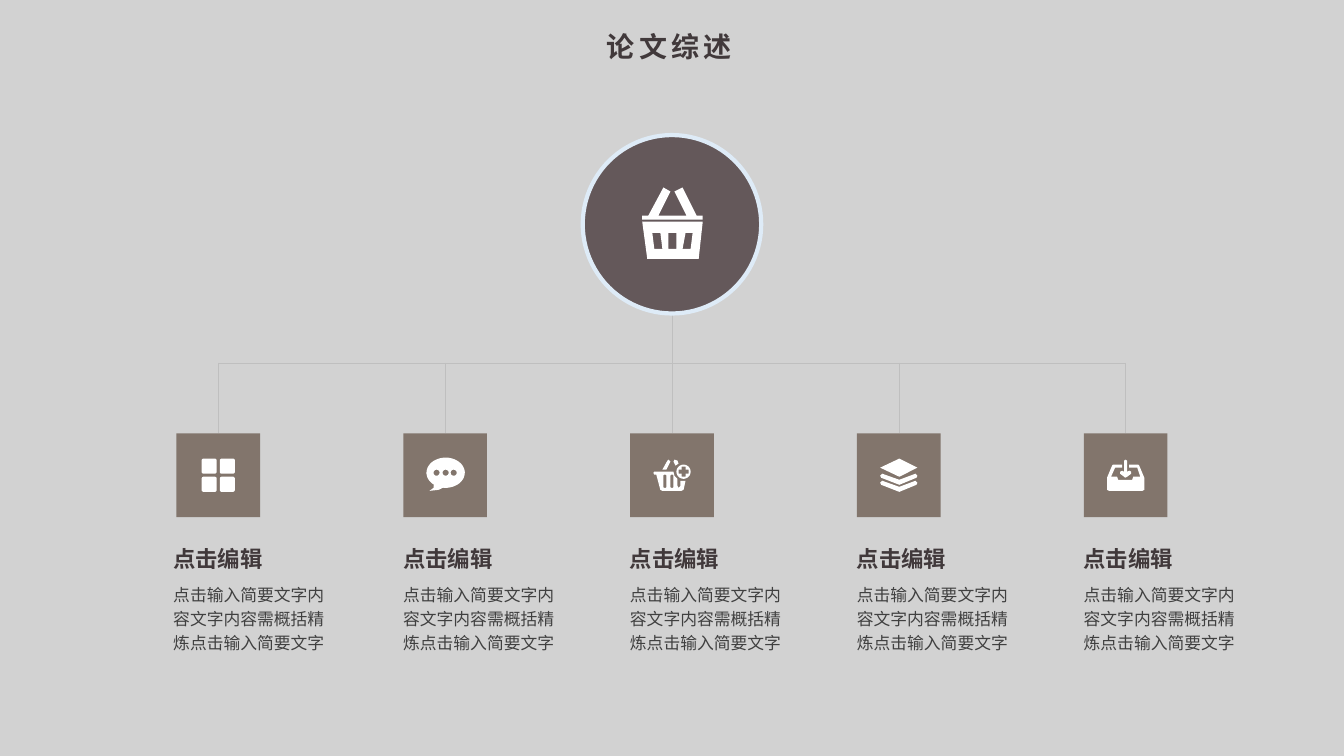
from dataclasses import dataclass
from math import cos, radians, sin

from lxml.etree import SubElement
from pptx import Presentation
from pptx.dml.color import RGBColor
from pptx.enum.shapes import MSO_CONNECTOR, MSO_SHAPE
from pptx.enum.text import MSO_ANCHOR, MSO_AUTO_SIZE, PP_ALIGN
from pptx.oxml.ns import qn
from pptx.shapes.autoshape import Shape
from pptx.shapes.connector import Connector
from pptx.slide import Slide
from pptx.util import Inches, Pt

BACKGROUND = RGBColor(0xD2, 0xD2, 0xD2)
LINE_GRAY = RGBColor(0xBF, 0xBF, 0xBF)
HEADING = RGBColor(0x41, 0x39, 0x3B)
BODY = RGBColor(0x40, 0x40, 0x40)
HUB_FILL = RGBColor(0x64, 0x58, 0x5A)
HUB_RING = RGBColor(0xDE, 0xEB, 0xF7)
TILE_FILL = RGBColor(0x82, 0x75, 0x6C)
WHITE = RGBColor(0xFF, 0xFF, 0xFF)

FONT = "Noto Sans CJK SC"
UNITS = 1000
BUS_Y = 3.6
TILE_LEFT, TILE_TOP, TILE_SIZE, TILE_STEP = 1.75, 4.3, 0.83, 2.25
HUB_X = TILE_LEFT + 2 * TILE_STEP + TILE_SIZE / 2

Point = tuple[float, float]
Outline = list[Point]


@dataclass(frozen=True)
class Branch:
    icon: list[Outline]
    text_shift: float = 0.1
    heading: str = "点击编辑"
    body: str = "点击输入简要文字内容文字内容需概括精炼点击输入简要文字"


def arc(x: float, y: float, rx: float, ry: float, start: int = 0, stop: int = 360) -> Outline:
    """Points on an ellipse about (x, y), in degrees clockwise from the right."""
    return [(x + rx * cos(radians(a)), y + ry * sin(radians(a))) for a in range(start, stop + 1, 6)]


def rounded(x: float, y: float, width: float, height: float, r: float) -> Outline:
    right, bottom = x + width - r, y + height - r
    return (arc(right, bottom, r, r, 0, 90) + arc(x + r, bottom, r, r, 90, 180)
            + arc(x + r, y + r, r, r, 180, 270) + arc(right, y + r, r, r, 270, 360))


def chevron(y: float) -> Outline:
    return [(0.25, y), (0.42, y + 0.06), (0.58, y), (0.6, y + 0.02), (0.59, y + 0.04),
            (0.42, y + 0.11), (0.24, y + 0.04), (0.23, y + 0.02)]


GRID_ICON = [rounded(x, y, 0.15, 0.15, 0.02) for x in (0.25, 0.43) for y in (0.25, 0.43)]
CHAT_ICON = [
    arc(0.42, 0.39, 0.19, 0.15, 128, 458) + [(0.35, 0.56), (0.26, 0.57), (0.3, 0.54)],
    *[arc(x, 0.39, 0.03, 0.03) for x in (0.33, 0.42, 0.5)],
]
ADD_TO_BASKET_ICON = [
    arc(0.53, 0.38, 0.07, 0.07),
    [(0.51, 0.33), (0.55, 0.33), (0.55, 0.36), (0.58, 0.36), (0.58, 0.4), (0.55, 0.4),
     (0.55, 0.43), (0.51, 0.43), (0.51, 0.4), (0.48, 0.4), (0.48, 0.36), (0.51, 0.36)],
    [(0.45, 0.32), (0.43, 0.28), (0.44, 0.26), (0.47, 0.27), (0.48, 0.3)],
    [(0.4, 0.28), (0.36, 0.36), (0.32, 0.36), (0.37, 0.27), (0.38, 0.26)],
    [(0.24, 0.38), (0.43, 0.38), (0.44, 0.42), (0.47, 0.45), (0.47, 0.52), (0.48, 0.54),
     (0.5, 0.52), (0.5, 0.47), (0.55, 0.47), (0.53, 0.56), (0.51, 0.57), (0.32, 0.57),
     (0.3, 0.56), (0.26, 0.41), (0.24, 0.41), (0.23, 0.39)],
    *[rounded(x, 0.41, 0.03, 0.13, 0.01) for x in (0.33, 0.4)],
]
LAYERS_ICON = [[(0.42, 0.25), (0.6, 0.34), (0.42, 0.43), (0.23, 0.34)], chevron(0.4), chevron(0.47)]
INBOX_ICON = [
    [(0.23, 0.44), (0.28, 0.32), (0.29, 0.31), (0.38, 0.31), (0.38, 0.34), (0.31, 0.34),
     (0.27, 0.43), (0.33, 0.43), (0.34, 0.46), (0.48, 0.46), (0.49, 0.43), (0.56, 0.43),
     (0.53, 0.34), (0.45, 0.34), (0.45, 0.31), (0.54, 0.31), (0.55, 0.32), (0.6, 0.44),
     (0.6, 0.56), (0.58, 0.57), (0.25, 0.57), (0.23, 0.56)],
    [(0.4, 0.27), (0.41, 0.26), (0.43, 0.27), (0.43, 0.38), (0.45, 0.37), (0.47, 0.38),
     (0.47, 0.4), (0.43, 0.43), (0.41, 0.44), (0.4, 0.43), (0.36, 0.4), (0.36, 0.38),
     (0.38, 0.37), (0.4, 0.38)],
]
BASKET_BODY = [
    [(6.42, 2.57), (6.93, 2.57), (6.97, 2.2), (6.37, 2.2)],
    [(6.8, 2.31), (6.87, 2.31), (6.85, 2.47), (6.77, 2.47)],
    [(6.63, 2.31), (6.71, 2.31), (6.71, 2.47), (6.63, 2.47)],
    [(6.55, 2.31), (6.57, 2.47), (6.49, 2.47), (6.47, 2.31)],
]
BASKET_HANDLES = [
    [(6.91, 2.14), (6.77, 1.86), (6.69, 1.9), (6.81, 2.14), (6.53, 2.14), (6.65, 1.9),
     (6.58, 1.86), (6.43, 2.14), (6.37, 2.14), (6.37, 2.18), (6.97, 2.18), (6.97, 2.14)],
]

BRANCHES = [
    Branch(GRID_ICON, text_shift=0.13),
    Branch(CHAT_ICON),
    Branch(ADD_TO_BASKET_ICON),
    Branch(LAYERS_ICON),
    Branch(INBOX_ICON),
]


def write_text(box: Shape, text: str, *, size: int, color: RGBColor, bold: bool = False,
               wrap: bool = False, line_spacing: float = 1.0, tracking: int = 0) -> None:
    frame = box.text_frame
    frame.word_wrap = wrap
    frame.auto_size = MSO_AUTO_SIZE.SHAPE_TO_FIT_TEXT
    frame.vertical_anchor = MSO_ANCHOR.TOP
    para = frame.paragraphs[0]
    para.alignment = PP_ALIGN.LEFT
    para.line_spacing = line_spacing
    span = para.add_run()
    span.text = text
    span.font.size, span.font.bold, span.font.name = Pt(size), bold, FONT
    span.font.color.rgb = color
    properties = span._r.get_or_add_rPr()
    SubElement(properties, qn("a:ea")).set("typeface", FONT)
    if tracking:
        properties.set("spc", str(tracking * 100))


def add_line(page: Slide, start: Point, end: Point) -> Connector:
    line = page.shapes.add_connector(MSO_CONNECTOR.STRAIGHT, *map(Inches, start + end))
    line.line.color.rgb = LINE_GRAY
    line.line.width = Pt(0.5)
    SubElement(line._element.spPr, qn("a:effectLst"))
    return line


def add_filled(page: Slide, kind: MSO_SHAPE, left: float, top: float, size: float,
               color: RGBColor) -> Shape:
    shape = page.shapes.add_shape(kind, Inches(left), Inches(top), Inches(size), Inches(size))
    shape.shadow.inherit = False
    shape.fill.solid()
    shape.fill.fore_color.rgb = color
    shape.line.fill.background()
    return shape


def add_icon(page: Slide, outlines: list[Outline], left: float = 0, top: float = 0) -> None:
    """Draw all outlines as one white shape; inner outlines become holes."""
    scaled = [[(x * UNITS, y * UNITS) for x, y in outline] for outline in outlines]
    builder = page.shapes.build_freeform(*scaled[0][0], scale=Inches(1) / UNITS)
    for index, outline in enumerate(scaled):
        if index:
            builder.move_to(*outline[0])
        builder.add_line_segments(outline[1:], close=True)
    icon = builder.convert_to_shape(Inches(left), Inches(top))
    icon.shadow.inherit = False
    icon.fill.solid()
    icon.fill.fore_color.rgb = WHITE
    icon.line.fill.background()


def add_hub(page: Slide) -> None:
    hub = add_filled(page, MSO_SHAPE.FLOWCHART_CONNECTOR, 5.78, 1.34, 1.77, HUB_FILL)
    hub.line.color.rgb = HUB_RING
    hub.line.width = Pt(3)
    add_icon(page, BASKET_BODY)
    add_icon(page, BASKET_HANDLES)


def add_branch(page: Slide, branch: Branch, left: float) -> None:
    tile = add_filled(page, MSO_SHAPE.RECTANGLE, left, TILE_TOP, TILE_SIZE, TILE_FILL)
    center = left + TILE_SIZE / 2
    add_line(page, (center, BUS_Y), (center, TILE_TOP)).end_connect(tile, 0)
    add_icon(page, branch.icon, left, TILE_TOP)
    text_left = Inches(left - branch.text_shift)
    heading = page.shapes.add_textbox(text_left, Inches(5.31), Inches(1.1), Inches(0.4))
    write_text(heading, branch.heading, size=16, color=HEADING, bold=True, line_spacing=1.2)
    body = page.shapes.add_textbox(text_left, Inches(5.71), Inches(1.86), Inches(0.81))
    write_text(body, branch.body, size=12, color=BODY, wrap=True, line_spacing=1.2)


def main() -> None:
    deck = Presentation()
    deck.slide_width, deck.slide_height = Inches(13.33), Inches(7.5)
    page = deck.slides.add_slide(deck.slide_layouts[5])
    page.background.fill.solid()
    page.background.fill.fore_color.rgb = BACKGROUND

    title = page.shapes.title
    title.left, title.top = Inches(5.92), Inches(0.24)
    title.width, title.height = Inches(1.49), Inches(0.44)
    write_text(title, "论文综述", size=20, color=HEADING, bold=True, tracking=3)

    reach = 2 * TILE_STEP
    add_line(page, (HUB_X, 2.63), (HUB_X, BUS_Y))
    add_line(page, (HUB_X - reach, BUS_Y), (HUB_X + reach, BUS_Y))
    add_hub(page)
    for column, branch in enumerate(BRANCHES):
        add_branch(page, branch, TILE_LEFT + column * TILE_STEP)
    deck.save("out.pptx")


if __name__ == "__main__":
    main()
